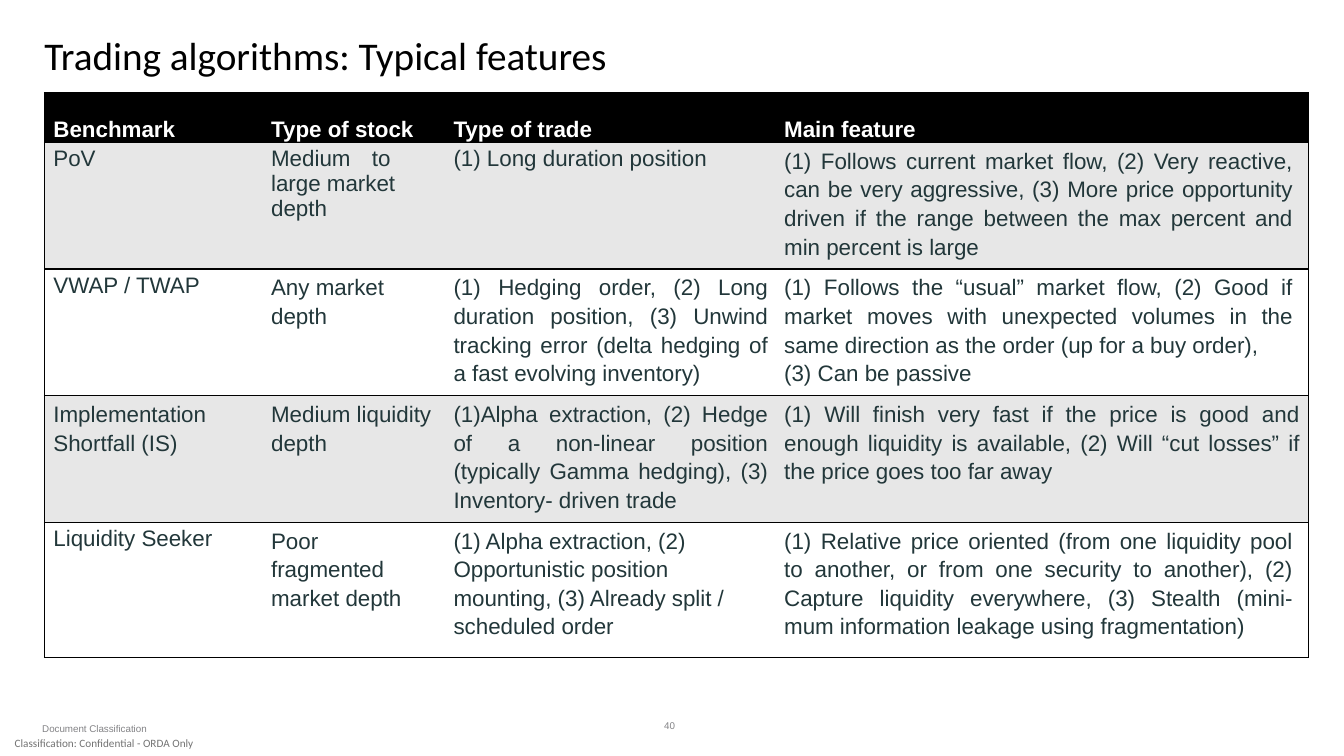
from pptx import Presentation
from pptx.dml.color import RGBColor
from pptx.enum.text import MSO_ANCHOR as ANCHOR, PP_ALIGN as ALIGN
from pptx.oxml import parse_xml
from pptx.oxml.ns import nsdecls
from pptx.util import Pt

COLS = [155.5, 130.3, 236.2, 380.9]
HEADER_HEIGHT = 35.5
HEADERS = ["Benchmark", "Type of stock", "Type of trade", "Main feature"]
TIGHT = dict(spacing=1, top=3)
JUSTIFIED = dict(align=ALIGN.JUSTIFY)
FEATURE = dict(align=ALIGN.JUSTIFY, right=11)
NARROW = dict(right=22)
ROWS = [
    (83, [
        ("PoV", TIGHT),
        ("Medium\tto large market depth", TIGHT | NARROW),
        ("(1) Long duration position", TIGHT),
        ("(1) Follows current market flow, (2) Very reactive, can be very "
         "aggressive, (3) More price opportunity driven if the range between "
         "the max percent and min percent is large", FEATURE),
    ]),
    (83, [
        ("VWAP / TWAP", TIGHT),
        ("Any market depth", NARROW),
        ("(1) Hedging order, (2) Long duration position, (3) Unwind tracking "
         "error (delta hedging of a fast evolving inventory)", JUSTIFIED),
        ("(1) Follows the “usual” market flow, (2) Good if market moves with "
         "unexpected volumes in the same direction as the order (up for a "
         "buy order),\n(3) Can be passive", FEATURE),
    ]),
    (83, [
        ("Implementation Shortfall (IS)", {}),
        ("Medium liquidity depth", {}),
        ("(1)Alpha extraction, (2) Hedge of a non-linear position (typically "
         "Gamma hedging), (3) Inventory- driven trade", JUSTIFIED),
        ("(1) Will finish very fast if the price is good and enough liquidity "
         "is available, (2) Will “cut losses” if the price goes too far away",
         FEATURE | dict(right=6)),
    ]),
    (97, [
        ("Liquidity Seeker", TIGHT),
        ("Poor fragmented market depth", NARROW),
        ("(1) Alpha extraction, (2) Opportunistic position mounting, "
         "(3) Already split / scheduled order", NARROW),
        ("(1) Relative price oriented (from one liquidity pool to another, or "
         "from one security to another), (2) Capture liquidity everywhere, "
         "(3) Stealth (mini-mum information leakage using fragmentation)",
         FEATURE),
    ]),
]


def rgb(value):
    return RGBColor.from_string(value)


def write(tf, text, size=16, font="Arial", color="22373A", bold=False,
          align=ALIGN.LEFT, spacing=1.0, before=0):
    tf.word_wrap = True
    for i, line in enumerate(text.split("\n")):
        p = tf.add_paragraph() if i else tf.paragraphs[0]
        p.alignment = align
        p.line_spacing = 1.0 if i else spacing
        p.space_before = Pt(before)
        r = p.add_run()
        r.text = line
        r.font.size = Pt(size)
        r.font.name = font
        r.font.bold = bold
        r.font.color.rgb = rgb(color)


def add_text(s, text, left, top, width, height, anchor=ANCHOR.TOP, **fmt):
    tf = s.shapes.add_textbox(Pt(left), Pt(top), Pt(width), Pt(height)).text_frame
    tf.margin_left = tf.margin_right = tf.margin_top = tf.margin_bottom = 0
    tf.vertical_anchor = anchor
    write(tf, text, **fmt)


def set_borders(cell, first, last):
    visible = {"L": first, "R": last, "T": True, "B": True}
    for i, (side, shown) in enumerate(visible.items()):
        paint = ('<a:solidFill><a:srgbClr val="000000"/></a:solidFill>'
                 if shown else "<a:noFill/>")
        line = f'<a:ln{side} {nsdecls("a")} w="12700">{paint}</a:ln{side}>'
        cell._tc.get_or_add_tcPr().insert(i, parse_xml(line))


def fill_cell(cell, text, fill, top=2.2, right=5, anchor=ANCHOR.TOP, **fmt):
    cell.margin_left, cell.margin_right = Pt(6.5), Pt(right)
    cell.margin_top, cell.margin_bottom = Pt(top), 0
    cell.vertical_anchor = anchor
    cell.fill.solid()
    cell.fill.fore_color.rgb = rgb(fill)
    write(cell.text_frame, text, **fmt)


def add_feature_table(s):
    header = dict(color="FFFFFF", bold=True, anchor=ANCHOR.BOTTOM, **TIGHT)
    rows = [(HEADER_HEIGHT, [(text, header) for text in HEADERS])] + ROWS
    height = sum(h for h, _ in rows)
    table = s.shapes.add_table(len(rows), len(COLS), Pt(31.7), Pt(66.2),
                               Pt(sum(COLS)), Pt(height)).table
    table.first_row = table.horz_banding = False
    for column, width in zip(table.columns, COLS):
        column.width = Pt(width)
    for i, (row_height, cells) in enumerate(rows):
        table.rows[i].height = Pt(row_height)
        fill = "000000" if i == 0 else "E7E7E7" if i % 2 else "FFFFFF"
        for j, (text, fmt) in enumerate(cells):
            cell = table.cell(i, j)
            fill_cell(cell, text, fill, **{"spacing": 1.15, "before": 2.3, **fmt})
            set_borders(cell, j == 0, j == len(COLS) - 1)


def main():
    prs = Presentation()
    prs.slide_width, prs.slide_height = Pt(960), Pt(540)
    s = prs.slides.add_slide(prs.slide_layouts[6])
    add_text(s, "Classification: Confidential - ORDA Only", 10.5, 522, 147, 18,
             anchor=ANCHOR.MIDDLE, size=8, font="Calibri", color="737373")
    add_text(s, "Trading algorithms: Typical features", 31.7, 18.7, 809, 53,
             size=28, font="Calibri", color="000000", spacing=1.1)
    add_feature_table(s)
    small = dict(size=7, color="838386")
    add_text(s, "40", 474.5, 514, 31, 9.4, **small)
    add_text(s, "Document Classification", 30.2, 516.2, 249, 8.6, **small)
    prs.save("out.pptx")


if __name__ == "__main__":
    main()
